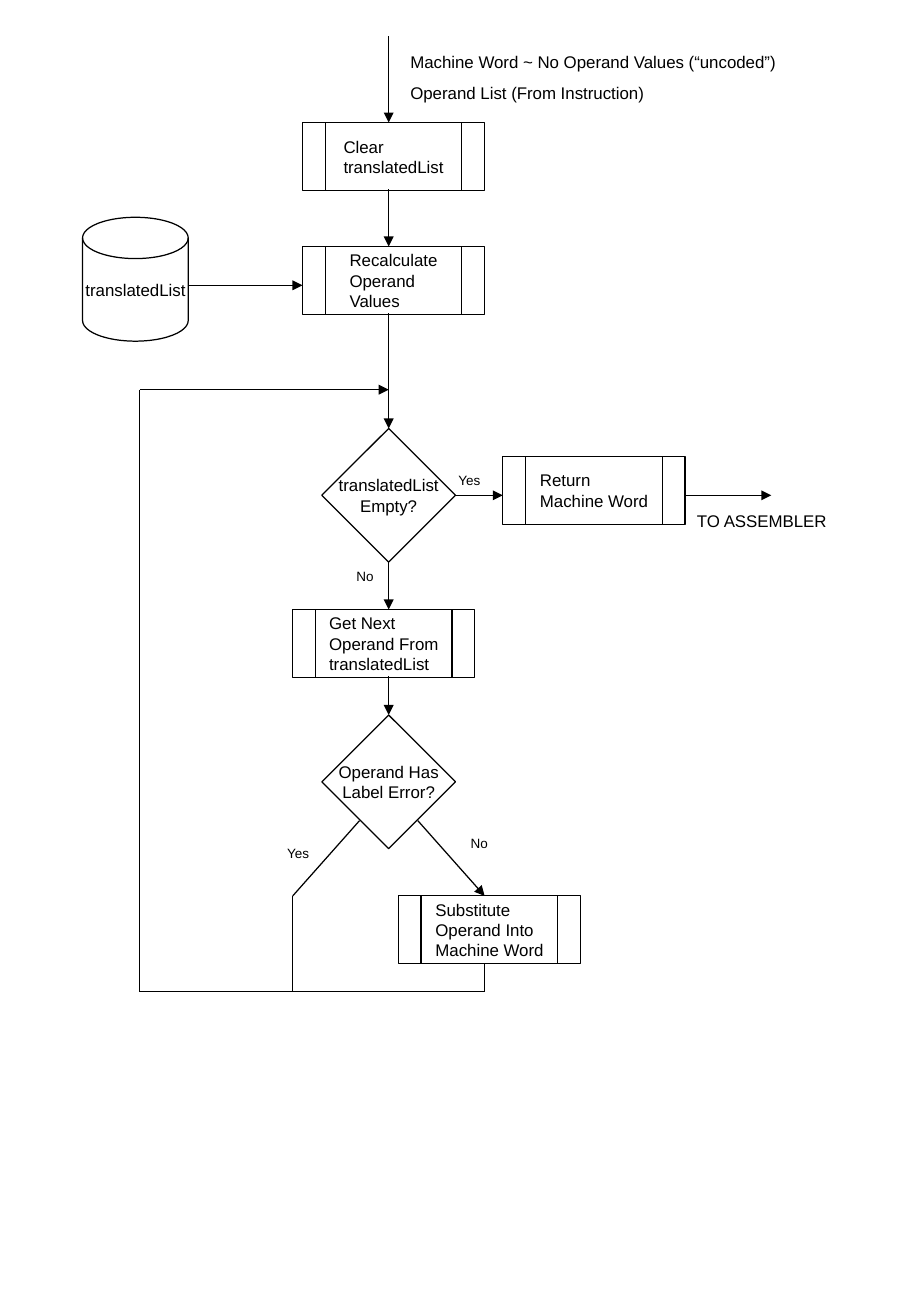
from typing import NamedTuple

from lxml.etree import SubElement
from pptx import Presentation
from pptx.dml.color import RGBColor
from pptx.enum.shapes import MSO_CONNECTOR, MSO_SHAPE
from pptx.enum.text import MSO_ANCHOR, MSO_AUTO_SIZE, PP_ALIGN
from pptx.oxml.ns import qn
from pptx.util import Pt

SCALE = 9144
BLACK = "000000"
WHITE = "FFFFFF"
STEP = MSO_SHAPE.FLOWCHART_PREDEFINED_PROCESS
TEST = MSO_SHAPE.FLOWCHART_DECISION
DISK = MSO_SHAPE.FLOWCHART_MAGNETIC_DISK


class Size(NamedTuple):
    wide: int
    high: int


class Node(NamedTuple):
    kind: MSO_SHAPE
    left: int
    top: int
    text: str


class Label(NamedTuple):
    left: int
    top: int
    wide: int
    high: int
    text: str


class Route(NamedTuple):
    points: list[tuple[int, int]]
    arrow: bool = True


SIZES = {STEP: Size(150, 56), TEST: Size(110, 110), DISK: Size(87, 102)}

NODES = [
    Node(TEST, 265, 353, "translatedList\nEmpty?"),
    Node(STEP, 328, 738, "Substitute Operand Into Machine Word"),
    Node(DISK, 68, 179, "translatedList"),
    Node(STEP, 249, 101, "Clear translatedList"),
    Node(STEP, 249, 203, "Recalculate\nOperand Values"),
    Node(STEP, 414, 376, "Return Machine Word"),
    Node(STEP, 241, 502, "Get Next Operand From\ntranslatedList"),
    Node(TEST, 265, 589, "Operand Has\nLabel Error?"),
]

ROUTES = [
    Route([(320, 30), (320, 101)]),
    Route([(320, 156), (320, 203)]),
    Route([(320, 258), (320, 353)]),
    Route([(320, 463), (320, 502)]),
    Route([(320, 557), (320, 589)]),
    Route([(155, 235), (249, 235)]),
    Route([(375, 408), (414, 408)]),
    Route([(564, 408), (635, 408)]),
    Route([(344, 676), (399, 738)]),
    Route([(296, 676), (241, 738), (241, 817)], arrow=False),
    Route([(399, 794), (399, 817), (115, 817), (115, 321), (320, 321)]),
]

NOTES = [
    Label(328, 38, 323, 52,
          "Machine Word ~ No Operand Values (“uncoded”)\nOperand List (From Instruction)"),
    Label(564, 416, 134, 27, "TO ASSEMBLER"),
]

TAGS = [
    Label(351, 384, 71, 24, "Yes"),
    Label(265, 463, 71, 24, "No"),
    Label(210, 691, 71, 24, "Yes"),
    Label(359, 683, 71, 24, "No"),
]


def px(*nums: int) -> list[int]:
    return [num * SCALE for num in nums]


def paint(target, color: str) -> None:
    target.rgb = RGBColor.from_string(color)


def ink(line) -> None:
    line.width = Pt(0.75)
    line.fill.solid()
    paint(line.fill.fore_color, BLACK)


def write(frame, text: str, *, size: float = 10, align=PP_ALIGN.LEFT,
          anchor=MSO_ANCHOR.TOP, wrap: bool = True, before: float = 0) -> None:
    frame.text = text
    frame.word_wrap = wrap
    frame.vertical_anchor = anchor
    for para in frame.paragraphs:
        para.alignment = align
        para.space_before = Pt(before)
        for run in para.runs:
            run.font.name = "Arial"
            run.font.size = Pt(size)
            paint(run.font.color, BLACK)


def add_node(slide, node: Node) -> None:
    shape = slide.shapes.add_shape(node.kind, *px(node.left, node.top, *SIZES[node.kind]))
    shape.shadow.inherit = False
    if node.kind == DISK:
        shape.fill.background()
    else:
        shape.fill.solid()
        paint(shape.fill.fore_color, WHITE)
    ink(shape.line)
    block = node.kind == STEP
    write(shape.text_frame, node.text, anchor=MSO_ANCHOR.MIDDLE, wrap=block,
          align=PP_ALIGN.LEFT if block else PP_ALIGN.CENTER)
    if block:
        shape.element.txBody.bodyPr.set("anchorCtr", "1")


def add_route(slide, route: Route) -> None:
    for start, end in zip(route.points, route.points[1:]):
        wire = slide.shapes.add_connector(MSO_CONNECTOR.STRAIGHT, *px(*start, *end))
        ink(wire.line)
        props = wire.element.spPr
        if route.arrow and end == route.points[-1]:
            SubElement(props.find(qn("a:ln")), qn("a:tailEnd"), type="triangle")
        SubElement(props, qn("a:effectLst"))


def add_label(slide, label: Label, **style) -> None:
    box = slide.shapes.add_textbox(*px(label.left, label.top, label.wide, label.high))
    write(box.text_frame, label.text, **style)
    box.text_frame.auto_size = MSO_AUTO_SIZE.SHAPE_TO_FIT_TEXT


def main() -> None:
    deck = Presentation()
    deck.slide_width, deck.slide_height = px(750, 1084)
    slide = deck.slides.add_slide(deck.slide_layouts[6])
    for node in NODES:
        add_node(slide, node)
    for route in ROUTES:
        add_route(slide, route)
    for note in NOTES:
        add_label(slide, note, before=6.2)
    for tag in TAGS:
        add_label(slide, tag, size=8, align=PP_ALIGN.CENTER, before=5)
    deck.save("out.pptx")


if __name__ == "__main__":
    main()
